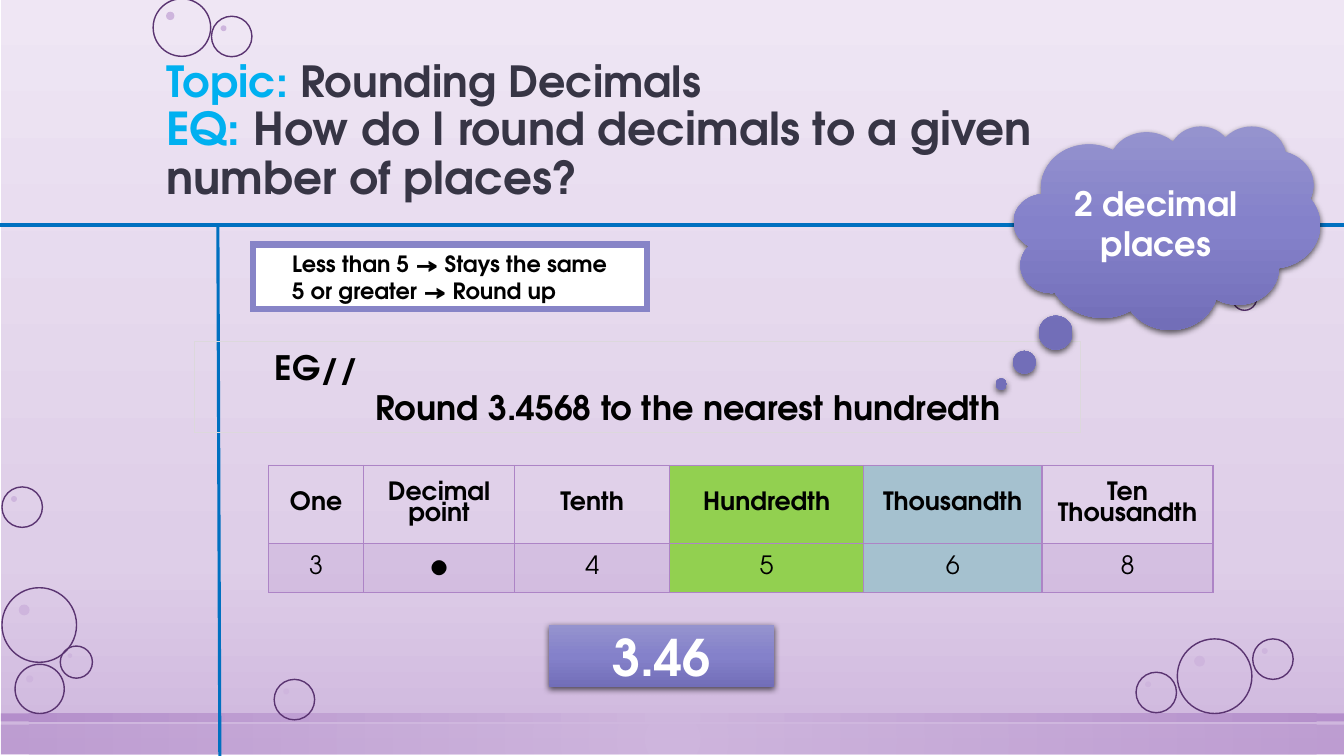
"""Build the slide on rounding decimals to two places."""
from lxml import etree
from pptx import Presentation
from pptx.dml.color import RGBColor
from pptx.enum.shapes import MSO_CONNECTOR as Connector, MSO_SHAPE as Preset
from pptx.enum.text import MSO_ANCHOR as Anchor, PP_ALIGN as Align
from pptx.oxml import parse_xml
from pptx.oxml.ns import nsdecls, qn
from pptx.util import Cm, Pt

COLOURS = {
    "sky_top": "EFE6F4", "sky_middle": "DECEE8", "lilac": "CEB5DD", "purple": "AD84C6",
    "bubble": "5A3471", "label": "00B0F0", "title": "373545", "rule": "0070C0",
    "border": "8784C7", "faint": "DCD8DC", "green": "92D050", "blue": "A5C1CF",
    "violet_top": "9593CE", "violet_middle": "8481CA", "violet_bottom": "726EB8",
    "black": "000000", "white": "FFFFFF",
}
FONT = "TeX Gyre Adventor"
VIOLET = [(0, "violet_top", 100), (50, "violet_middle", 100), (100, "violet_bottom", 100)]
BUBBLES = [
    (0.05, 14.81, 1.88), (1.52, 16.28, 0.81), (0.38, 16.74, 1.24), (6.91, 17.12, 1.02),
    (0.05, 12.27, 1.02), (29.67, 16.1, 1.88), (28.63, 16.94, 1.02), (31.57, 16.1, 1.02),
    (30.81, 5.23, 1.45), (31.06, 7.21, 0.61), (3.86, -0.03, 1.45), (5.33, 0.41, 1.02),
]
COLUMNS = [
    ("One", "3", 2.39, None), ("Decimal point", "●", 3.81, None), ("Tenth", "4", 3.91, None),
    ("Hundredth", "5", 4.88, "green"), ("Thousandth", "6", 4.5, "blue"),
    ("Ten Thousandth", "8", 4.31, None),
]


def colour(name):
    """Return the named colour."""
    return RGBColor.from_string(COLOURS[name])


def add_run(paragraph, text, size, colour_name="black", bold=True):
    """Add a formatted run to a paragraph."""
    run = paragraph.add_run()
    run.text = text
    for name, value in {"name": FONT, "size": Pt(size), "bold": bold}.items():
        setattr(run.font, name, value)
    run.font.color.rgb = colour(colour_name)


def write_lines(frame, lines, size, colour_name="black", align=Align.LEFT, inset=0.25):
    """Write one paragraph per line, centred vertically."""
    settings = {"word_wrap": True, "vertical_anchor": Anchor.MIDDLE, "margin_left": Cm(inset)}
    for name, value in settings.items():
        setattr(frame, name, value)
    for index, line in enumerate(lines):
        paragraph = frame.add_paragraph() if index else frame.paragraphs[0]
        paragraph.alignment = align
        paragraph._p.get_or_add_pPr().set("defTabSz", str(Cm(2.54)))
        add_run(paragraph, line, size, colour_name)


def add_panel(slide, preset, box, fill=None, line=None, width=1):
    """Add a preset shape with an optional plain fill and outline."""
    shape = slide.shapes.add_shape(preset, *map(Cm, box))
    shape.shadow.inherit = False
    shape.fill.background()
    if fill:
        shape.fill.solid()
        shape.fill.fore_color.rgb = colour(fill)
    shape.line.fill.background()
    if line:
        shape.line.color.rgb = colour(line)
        shape.line.width = Pt(width)
    return shape


def set_gradient(shape, stops, direction='<a:lin ang="5400000" scaled="0"/>'):
    """Fill a shape with a gradient of (position, colour, opacity) stops."""
    stop_xml = "".join(
        f'<a:gs pos="{position * 1000}"><a:srgbClr val="{COLOURS[name]}">'
        f'<a:alpha val="{opacity * 1000}"/></a:srgbClr></a:gs>'
        for position, name, opacity in stops)
    gradient = parse_xml(f'<a:gradFill {nsdecls("a")} rotWithShape="1">'
                         f'<a:gsLst>{stop_xml}</a:gsLst>{direction}</a:gradFill>')
    properties = shape._element.spPr
    properties.replace(properties.find(qn("a:noFill")), gradient)


def add_violet_panel(slide, preset, box, text, size):
    """Add a shaded violet shape with a soft shadow and centred text."""
    shape = add_panel(slide, preset, box)
    set_gradient(shape, VIOLET)
    shape._element.spPr.find(qn("a:effectLst")).append(parse_xml(
        f'<a:outerShdw {nsdecls("a")} blurRad="57150" dist="19050" dir="5400000" algn="ctr">'
        f'<a:srgbClr val="{COLOURS["black"]}"><a:alpha val="63000"/></a:srgbClr></a:outerShdw>'))
    write_lines(shape.text_frame, [text], size, "white", Align.CENTER)
    return shape


def add_backdrop(slide, box):
    """Draw the shaded backdrop, the floor strips and the bubbles."""
    left, top, width, height = box
    sky = add_panel(slide, Preset.RECTANGLE, box)
    set_gradient(sky, [(0, "sky_top", 100), (74, "sky_middle", 100), (100, "lilac", 100)])
    radial = ('<a:path path="circle"><a:fillToRect l="50000" t="50000" r="50000" b="50000"/>'
              '</a:path>')
    for offset, strip_height, opacity in ((18.31, 0.76, 50), (18.03, 0.2, 80)):
        strip = add_panel(slide, Preset.RECTANGLE, (left, top + offset, width, strip_height))
        set_gradient(strip, [(0, "lilac", opacity), (100, "purple", opacity)], radial)
    for x, y, size in BUBBLES:
        add_panel(slide, Preset.OVAL, (x, y, size, size), line="bubble")
        offset, spot = 0.225 * size, 0.145 * size
        add_panel(slide, Preset.OVAL, (x + offset, y + offset, spot, spot), fill="lilac")


def add_title(slide, box):
    """Write the topic and the essential question."""
    frame = slide.shapes.add_textbox(*map(Cm, box)).text_frame
    frame.word_wrap = True
    frame.vertical_anchor = Anchor.BOTTOM
    paragraph = frame.paragraphs[0]
    paragraph.line_spacing = 0.9
    add_run(paragraph, "Topic: ", 30.6, "label")
    add_run(paragraph, "Rounding Decimals", 30.6, "title")
    paragraph.add_line_break()
    add_run(paragraph, "EQ: ", 32.4, "label")
    add_run(paragraph, "How do I round decimals to a given number of places?", 32.4, "title")


def add_dividers(slide, box):
    """Draw the margin line and the line under the title."""
    left, top, width, height = box
    for ends in ((left + 5.49, top, left + 5.54, top + height), (left, top, left + width, top)):
        line = slide.shapes.add_connector(Connector.STRAIGHT, *map(Cm, ends))
        line.line.color.rgb = colour("rule")
        line.line.width = Pt(2.25)
        etree.SubElement(line._element.spPr, qn("a:effectLst"))


def add_rounding_rule(slide, box):
    """Add the framed reminder of the rounding rule."""
    shape = add_panel(slide, Preset.RECTANGLE, box, "white", "border", 4.5)
    etree.SubElement(shape._element.spPr.find(qn("a:ln")), qn("a:miter"), lim="800000")
    lines = ["Less than 5 → Stays the same", "5 or greater → Round up"]
    write_lines(shape.text_frame, lines, 16, inset=0.99)


def add_example(slide, box):
    """Add the worked example's question."""
    shape = add_panel(slide, Preset.RECTANGLE, box, line="faint", width=0.75)
    lines = ["EG//", "\tRound 3.4568 to the nearest hundredth"]
    write_lines(shape.text_frame, lines, 24, inset=2.02)


def format_cell(cell, text, fill, header):
    """Write a cell and set its fill and borders."""
    cell.vertical_anchor = Anchor.MIDDLE
    paragraph = cell.text_frame.paragraphs[0]
    paragraph.alignment = Align.CENTER
    paragraph.line_spacing = 0.92 if header else 1
    add_run(paragraph, text, 18, bold=header)
    cell.fill.background()
    if fill or not header:
        cell.fill.solid()
        cell.fill.fore_color.rgb = colour(fill or "purple")
    properties = cell._tc.get_or_add_tcPr()
    if not fill and not header:
        tint = properties.find(".//" + qn("a:srgbClr"))
        etree.SubElement(tint, qn("a:alpha"), val="20000")
    for index, side in enumerate("LRTB"):
        properties.insert(index, parse_xml(
            f'<a:ln{side} {nsdecls("a")} w="{Pt(1)}"><a:solidFill>'
            f'<a:srgbClr val="{COLOURS["purple"]}"/></a:solidFill></a:ln{side}>'))


def add_place_values(slide, box):
    """Add the table of place values."""
    table = slide.shapes.add_table(2, len(COLUMNS), *map(Cm, box)).table
    table.first_row = table.horz_banding = False
    for row, height in zip(table.rows, (1.96, 1.24)):
        row.height = Cm(height)
    for index, (heading, digit, width, fill) in enumerate(COLUMNS):
        table.columns[index].width = Cm(width)
        format_cell(table.cell(0, index), heading, fill, True)
        format_cell(table.cell(1, index), digit, fill, False)


def add_hint(slide, box):
    """Add the thought cloud pointing at the question."""
    cloud = add_violet_panel(slide, Preset.CLOUD_CALLOUT, box, "2 decimal places", 24)
    cloud.adjustments[0], cloud.adjustments[1] = -0.541, 0.769


def main():
    """Build and save the presentation."""
    presentation = Presentation()
    presentation.slide_width, presentation.slide_height = Cm(33.87), Cm(19.05)
    slide = presentation.slides.add_slide(presentation.slide_layouts[6])
    add_backdrop(slide, (0.02, -0.05, 33.87, 19.05))
    add_title(slide, (3.94, 1.85, 25.98, 3.43))
    add_dividers(slide, (0, 5.67, 33.87, 13.38))
    add_rounding_rule(slide, (6.37, 6.16, 9.93, 1.63))
    add_example(slide, (4.9, 8.6, 22.33, 2.31))
    add_hint(slide, (25.55, 3.17, 7.72, 5.13))
    add_place_values(slide, (6.77, 11.73, 23.8, 3.2))
    add_violet_panel(slide, Preset.RECTANGLE, (13.83, 15.75, 5.69, 1.57), "3.46", 36)
    presentation.save("out.pptx")


if __name__ == "__main__":
    main()
